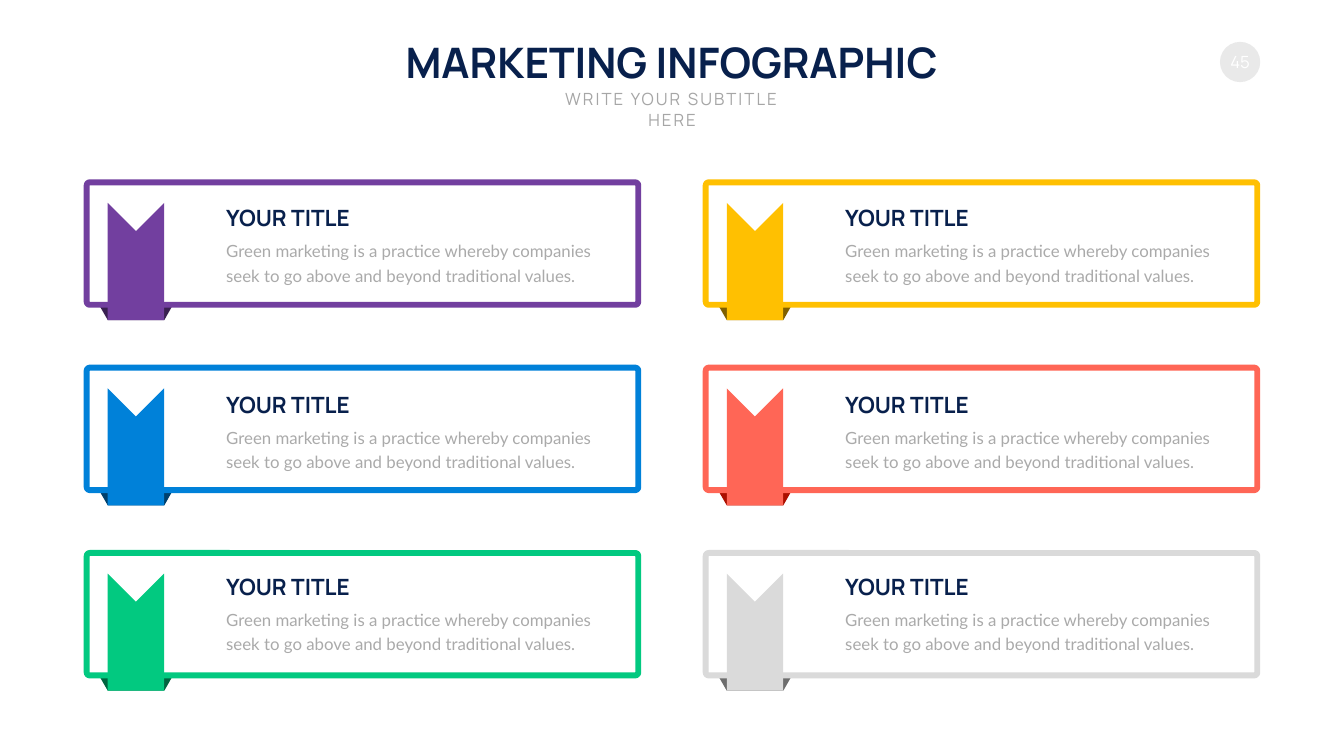
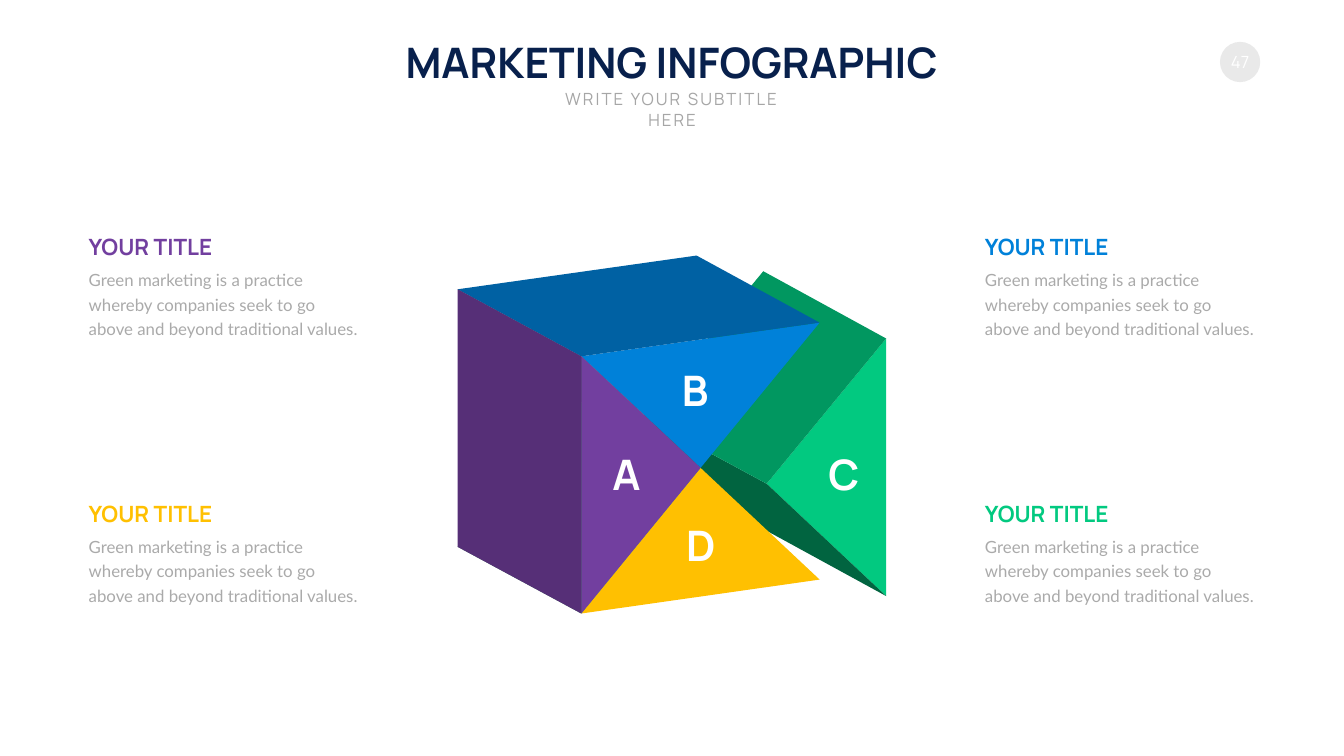
from dataclasses import dataclass

from pptx import Presentation
from pptx.dml.color import RGBColor
from pptx.enum.shapes import MSO_SHAPE as Shape
from pptx.enum.text import MSO_ANCHOR as Anchor, PP_ALIGN as Align
from pptx.util import Cm, Pt


@dataclass(frozen=True)
class Theme:
    heading_font: str = "Manrope"
    body_font: str = "Lato"
    navy: str = "08204C"
    subtitle_gray: str = "A6A6A6"
    body_gray: str = "AAAAAA"
    badge_gray: str = "E9E9E9"
    white: str = "FFFFFF"
    purple: str = "723F9F"
    purple_side: str = "562F77"
    purple_fold: str = "392050"
    yellow: str = "FFC001"
    yellow_fold: str = "806000"
    blue: str = "0081D9"
    blue_top: str = "0061A3"
    blue_fold: str = "00406C"
    blue_inner: str = "4E5E69"
    coral: str = "FF6656"
    coral_fold: str = "AB1000"
    green: str = "02C980"
    green_side: str = "019760"
    green_fold: str = "016440"
    green_inner: str = "417F67"
    silver: str = "DADADA"
    silver_fold: str = "6D6D6D"
    title_size: int = 60
    caption_size: int = 32
    text_size: int = 24


theme = Theme()


def add_text(slide, text, box, size, color, font=theme.heading_font, bold=False,
             align=Align.LEFT, anchor=Anchor.TOP, wrap=False):
    """Add a one-paragraph text box; box is left, top, width, height in cm."""
    text_box = slide.shapes.add_textbox(*map(Cm, box))
    frame = text_box.text_frame
    frame.text = text
    frame.word_wrap = wrap
    frame.vertical_anchor = anchor
    paragraph = frame.paragraphs[0]
    paragraph.alignment = align
    run = paragraph.runs[0]
    run.font.name = font
    run.font.size = Pt(size)
    run.font.bold = bold
    run.font.color.rgb = RGBColor.from_string(color)
    return paragraph


def add_polygon(slide, points, color):
    """Add a closed, filled outline through points given in cm."""
    start, *others = [(Cm(x), Cm(y)) for x, y in points]
    builder = slide.shapes.build_freeform(*start)
    builder.add_line_segments(others, close=True)
    shape = builder.convert_to_shape()
    shape.shadow.inherit = False
    shape.fill.solid()
    shape.fill.fore_color.rgb = RGBColor.from_string(color)
    shape.line.fill.background()


presentation = Presentation()
presentation.slide_width = Cm(67.72)
presentation.slide_height = Cm(38.1)

# Header and page badge on every slide
slides = []
for page_number in (45, 47):
    slide = presentation.slides.add_slide(presentation.slide_layouts[6])
    slides.append(slide)
    badge = slide.shapes.add_shape(Shape.OVAL, Cm(61.47), Cm(2.11), Cm(2.03), Cm(2.03))
    badge.shadow.inherit = False
    badge.fill.solid()
    badge.fill.fore_color.rgb = RGBColor.from_string(theme.badge_gray)
    badge.line.fill.background()
    frame = badge.text_frame
    frame.text = str(page_number)
    frame.word_wrap = False
    frame.margin_left = frame.margin_right = 0
    frame.vertical_anchor = Anchor.MIDDLE
    frame.paragraphs[0].alignment = Align.CENTER
    font = frame.paragraphs[0].runs[0].font
    font.name = theme.heading_font
    font.size = Pt(theme.text_size)
    font.color.rgb = RGBColor.from_string(theme.white)

    add_text(slide, "MARKETING INFOGRAPHIC", (19.58, 1.7, 28.52, 2.82),
             theme.title_size, theme.navy, bold=True, align=Align.CENTER)
    subtitle = add_text(slide, "WRITE YOUR SUBTITLE HERE", (26.97, 4.37, 13.79, 1.27),
                        theme.text_size, theme.subtitle_gray, align=Align.CENTER, wrap=True)
    subtitle.runs[0]._r.get_or_add_rPr().set("spc", "300")

ribbon_slide, cube_slide = slides
captions = []  # slide, left, top, title color, body width, body height

# Six framed cards with a ribbon
card_rows = [
    (10.16, (theme.purple, theme.purple_fold), (theme.yellow, theme.yellow_fold)),
    (19.56, (theme.blue, theme.blue_fold), (theme.coral, theme.coral_fold)),
    (28.75, (theme.green, theme.green_fold), (theme.silver, theme.silver_fold)),
]
border = 0.3
card_width, card_height = 28.09, 6.47
for row, (caption_top, *row_colors) in enumerate(card_rows):
    top = 9.04 + row * 9.34
    for column, (color, fold_color) in enumerate(row_colors):
        left = 4.22 + column * 31.19

        fold_left, fold_top = left + 0.41, top + 5.7
        fold_bottom = top + 7.09
        add_polygon(ribbon_slide, [
            (fold_left, fold_top), (fold_left + 4.44, fold_top),
            (fold_left + 3.65, fold_bottom), (fold_left + 0.8, fold_bottom),
        ], fold_color)

        card = ribbon_slide.shapes.add_shape(
            Shape.ROUNDED_RECTANGLE, Cm(left + border / 2), Cm(top + border / 2),
            Cm(card_width - border), Cm(card_height - border))
        card.adjustments[0] = border / 2 / (card_height - border)
        card.shadow.inherit = False
        card.fill.solid()
        card.fill.fore_color.rgb = RGBColor.from_string(theme.white)
        card.line.color.rgb = RGBColor.from_string(color)
        card.line.width = Cm(border)

        ribbon_left, ribbon_top = left + 1.21, top + 1.19
        ribbon_right = ribbon_left + 2.84
        add_polygon(ribbon_slide, [
            (ribbon_left, ribbon_top), (ribbon_left + 1.42, ribbon_top + 1.42),
            (ribbon_right, ribbon_top), (ribbon_right, fold_bottom),
            (ribbon_left, fold_bottom),
        ], color)
        captions.append((ribbon_slide, left + 6.93, caption_top, theme.navy, 19.96, 2.62))

# Cube corners
back_left_top = (23.06, 14.58)
back_left_bottom = (23.06, 27.56)
back_right_top = (35.1, 12.88)
back_center = (29.11, 20.2)
front_left_top = (29.29, 17.96)
front_left_bottom = (29.29, 30.92)
front_right_top = (41.3, 16.26)
front_right_bottom = (41.3, 29.21)
front_center = (35.3, 23.58)

# Corners of the wedge pulled out to the right
wedge_top = (44.65, 17.06)
wedge_bottom = (44.65, 30.04)
wedge_tip = (38.63, 24.38)
wedge_back_top = (38.46, 13.67)
wedge_back_bottom = (38.43, 26.64)
wedge_back_tip = (32.41, 21.01)

cube_faces = [
    (theme.green, [wedge_top, wedge_bottom, wedge_tip]),
    (theme.green_fold, [wedge_bottom, wedge_back_bottom, wedge_back_tip, wedge_tip]),
    (theme.green_side, [wedge_tip, wedge_back_tip, wedge_back_top, wedge_top]),
    (theme.yellow, [front_center, front_right_bottom, front_left_bottom]),
    (theme.green_inner, [front_left_bottom, back_left_bottom, back_center, front_center]),
    (theme.blue, [front_right_top, front_center, front_left_top]),
    (theme.blue_inner, [front_center, back_center, back_left_top, front_left_top]),
    (theme.blue_top, [front_left_top, back_left_top, back_right_top, front_right_top]),
    (theme.purple, [front_left_top, front_center, front_left_bottom]),
    (theme.purple_side, [front_left_bottom, back_left_bottom, back_left_top, front_left_top]),
]
for color, corners in cube_faces:
    add_polygon(cube_slide, corners, color)

face_letters = [("A", 31.57, 22.48), ("D", 35.32, 26.06), ("B", 35.03, 18.21), ("C", 42.52, 22.48)]
for letter, center, top in face_letters:
    add_text(cube_slide, letter, (center - 1.04, top, 2.08, 2.82), theme.title_size,
             theme.white, bold=True, align=Align.CENTER, anchor=Anchor.MIDDLE)

cube_caption_rows = [(11.63, (theme.purple, theme.blue)), (25.07, (theme.yellow, theme.green))]
for top, row_colors in cube_caption_rows:
    for left, color in zip((4.22, 49.38), row_colors):
        captions.append((cube_slide, left, top, color, 14.1, 3.86))

# Title and body text of every card and cube part
caption_height = 1.63
for slide, left, top, color, width, height in captions:
    body = add_text(
        slide, "Green marketing is a practice whereby companies seek to go above "
        "and beyond traditional values.", (left, top + caption_height, width, height),
        theme.text_size, theme.body_gray, font=theme.body_font, wrap=True)
    body.line_spacing = Pt(35)
    add_text(slide, "YOUR TITLE", (left, top, 6.81, caption_height), theme.caption_size,
             color, bold=True, anchor=Anchor.MIDDLE)

presentation.save("out.pptx")
